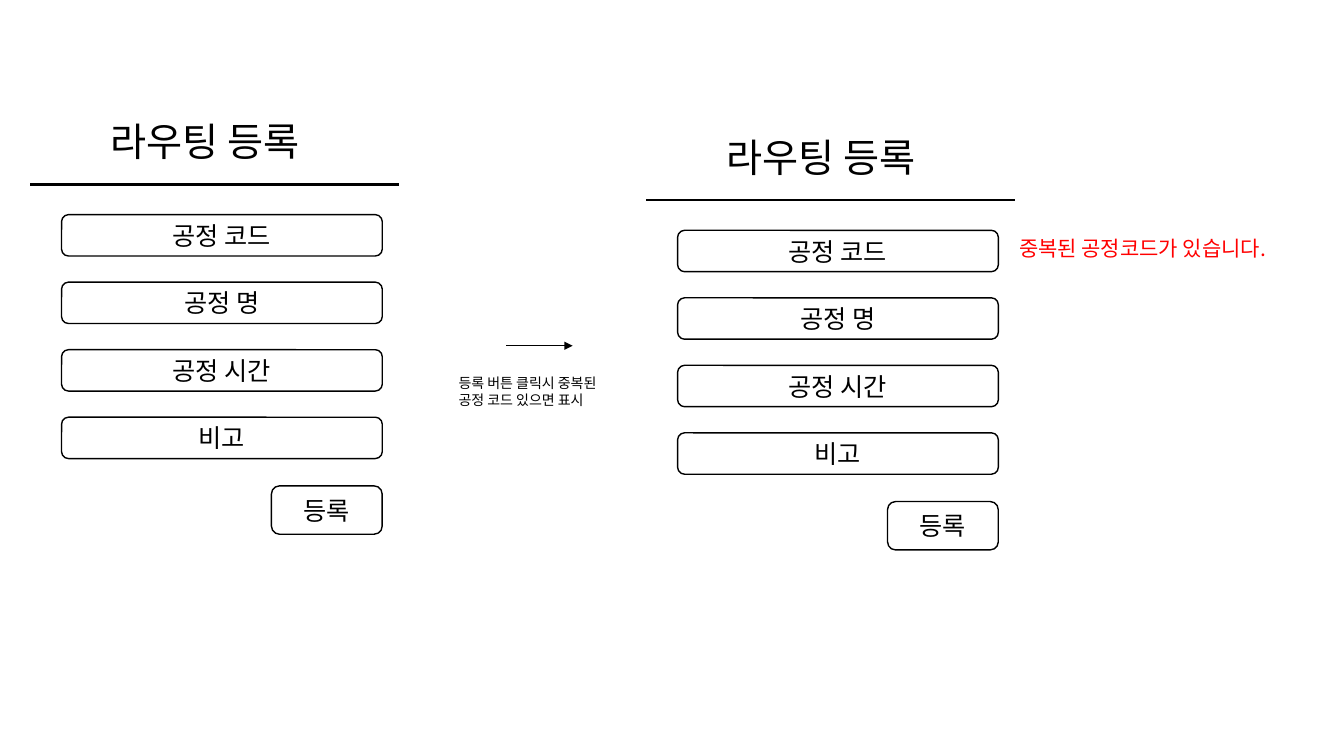
from lxml import etree
from pptx import Presentation
from pptx import util as u
from pptx.dml.color import RGBColor
from pptx.enum import shapes, text
from pptx.oxml.ns import qn

COLORS = {"ink": "000000", "paper": "FFFFFF", "warning": "FF0000"}
FONT = "Noto Sans CJK KR"

deck = Presentation()
deck.slide_width, deck.slide_height = u.Inches(13.33), u.Inches(7.5)
slide = deck.slides.add_slide(deck.slide_layouts[6])
COL, ROW = deck.slide_width / 100, deck.slide_height / 100


def write(words, left, top, width, height, size=18, color="ink", boxed=False):
    area = [int(n) for n in (left * COL, top * ROW, width * COL, height * ROW)]
    if boxed:
        label = slide.shapes.add_shape(shapes.MSO_SHAPE.ROUNDED_RECTANGLE, *area)
        label.shadow.inherit = False
        label.fill.solid()
        label.fill.fore_color.rgb = RGBColor.from_string(COLORS["paper"])
        label.line.color.rgb = RGBColor.from_string(COLORS["ink"])
        label.line.width = u.Pt(1)
    else:
        label = slide.shapes.add_textbox(*area)
        label.text_frame.auto_size = text.MSO_AUTO_SIZE.SHAPE_TO_FIT_TEXT
    frame = label.text_frame
    frame.word_wrap = True
    frame.vertical_anchor = text.MSO_ANCHOR.MIDDLE if boxed else text.MSO_ANCHOR.TOP
    paragraph = frame.paragraphs[0]
    paragraph.alignment = text.PP_ALIGN.CENTER if boxed else text.PP_ALIGN.LEFT
    run = paragraph.add_run()
    run.text = words
    run.font.size = u.Pt(size)
    run.font.name = FONT
    run.font.color.rgb = RGBColor.from_string(COLORS[color])
    etree.SubElement(run.font._element, qn("a:ea"), typeface=FONT)


def rule(start, end, top, weight, arrow=False):
    line = slide.shapes.add_connector(
        shapes.MSO_CONNECTOR.STRAIGHT,
        int(start * COL), int(top * ROW), int(end * COL), int(top * ROW))
    line.line.color.rgb = RGBColor.from_string(COLORS["ink"])
    line.line.width = u.Pt(weight)
    if arrow:
        etree.SubElement(line.line._get_or_add_ln(), qn("a:tailEnd"), type="triangle")
    etree.SubElement(line._element.spPr, qn("a:effectLst"))


fields = ["공정 코드", "공정 명", "공정 시간", "비고"]
FIELD_PITCH = 8.93

for across, down in [(0, 0), (45.84, 2.07)]:
    write("라우팅 등록", 7.5 + across, 14.93 + down, 17.48, 7.6, size=28)
    rule(2.25 + across, 29.71 + across, 24.4 + down, 1.5)
    for i, field in enumerate(fields):
        write(field, 4.58 + across, 28.4 + down + i * FIELD_PITCH, 23.86, 5.47, boxed=True)
    write("등록", 20.2 + across, 64.27 + down, 8.24, 6.4, boxed=True)

rule(37.66, 42.61, 45.73, 0.5, arrow=True)
write("등록 버튼 클릭시 중복된 공정 코드 있으면 표시", 33.38, 48.93, 13.73, 5.87, size=10)
write("중복된 공정코드가 있습니다.", 75.09, 30.53, 22.43, 4.67, size=15, color="warning")

deck.save("out.pptx")
